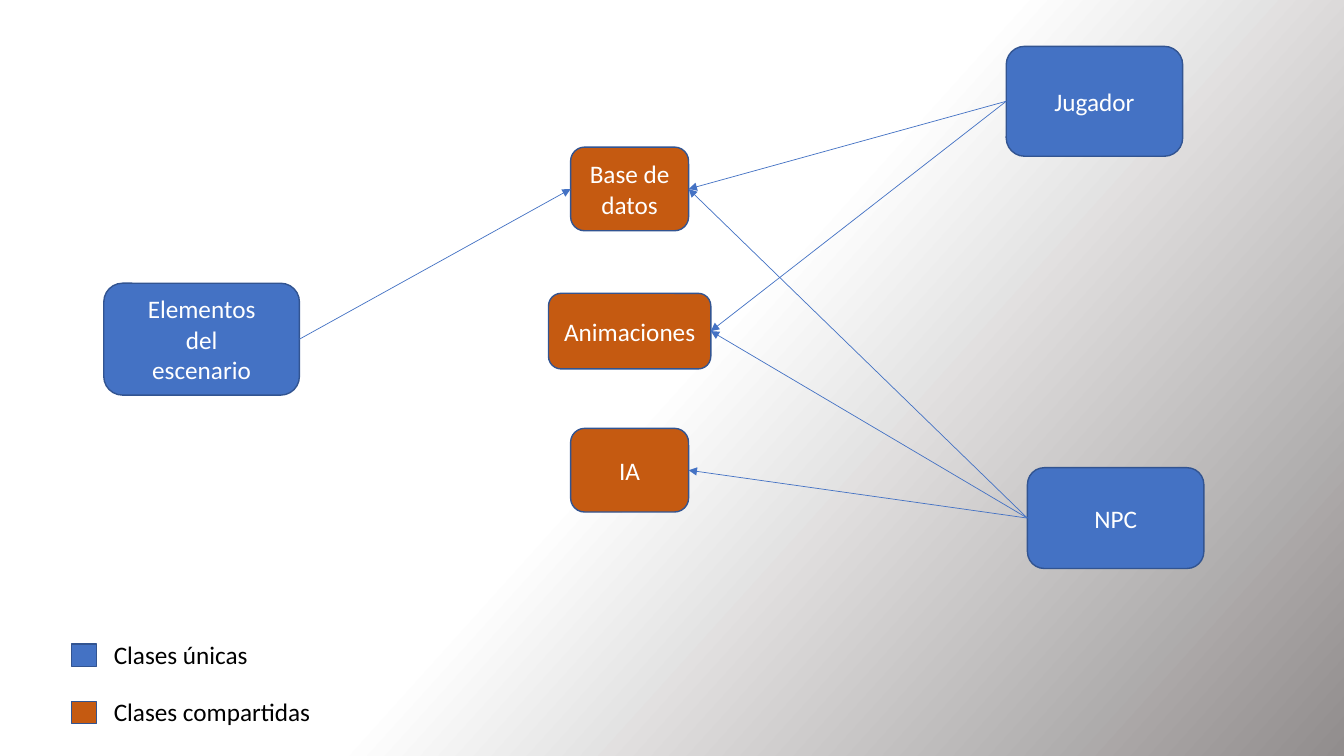
"""Build a slide that maps unique classes to the shared classes they use."""
import copy

import pptx
import pptx.dml.color
import pptx.enum.shapes
import pptx.enum.text
import pptx.oxml
import pptx.oxml.ns
import pptx.util

Inches = pptx.util.Inches
Shapes = pptx.enum.shapes.MSO_SHAPE
COLORS = {
    "unique": "4472C4",
    "shared": "C55A11",
    "outline": "325491",
    "white": "FFFFFF",
    "black": "000000",
    "gray": "918D8D",
}
CLASSES = {
    "Base de datos": ("shared", 5.66, 1.46, 1.17, 0.83),
    "Animaciones": ("shared", 5.44, 2.91, 1.61, 0.75),
    "IA": ("shared", 5.66, 4.25, 1.17, 0.83),
    "Jugador": ("unique", 9.98, 0.46, 1.75, 1.09),
    "NPC": ("unique", 10.19, 4.64, 1.75, 1),
    "Elementos\ndel\nescenario": ("unique", 1.03, 2.81, 1.94, 1.11),
}
LEFT_SITE, RIGHT_SITE = 1, 3
USES = [
    ("Jugador", "Base de datos"),
    ("Jugador", "Animaciones"),
    ("NPC", "Animaciones"),
    ("NPC", "IA"),
    ("NPC", "Base de datos"),
    ("Elementos\ndel\nescenario", "Base de datos"),
]


def rgb(name):
    """Return the named colour."""
    return pptx.dml.color.RGBColor.from_string(COLORS[name])


def write_text(shape, text, color, alignment):
    """Write formatted paragraphs into a shape."""
    frame = shape.text_frame
    frame.word_wrap = True
    frame.vertical_anchor = pptx.enum.text.MSO_ANCHOR.MIDDLE
    frame.text = text
    for paragraph in frame.paragraphs:
        paragraph.alignment = alignment
        paragraph.font.name = "Calibri"
        paragraph.font.size = pptx.util.Pt(18)
        paragraph.font.color.rgb = rgb(color)


def add_block(slide, preset, color, left, top, width, height):
    """Add a filled, outlined preset shape."""
    shape = slide.shapes.add_shape(
        preset, Inches(left), Inches(top), Inches(width), Inches(height))
    shape.shadow.inherit = False
    shape.fill.solid()
    shape.fill.fore_color.rgb = rgb(color)
    shape.line.color.rgb = rgb("outline")
    shape.line.width = pptx.util.Pt(1)
    return shape


def add_arrow(slide, source, target):
    """Connect the facing sides of two class boxes with an arrow."""
    rightward = source.left < target.left
    arrow = slide.shapes.add_connector(
        pptx.enum.shapes.MSO_CONNECTOR.STRAIGHT, 0, 0, 0, 0)
    arrow.begin_connect(source, RIGHT_SITE if rightward else LEFT_SITE)
    arrow.end_connect(target, LEFT_SITE if rightward else RIGHT_SITE)
    arrow.line.color.rgb = rgb("unique")
    arrow.line.width = pptx.util.Pt(0.5)
    properties = arrow.element.spPr
    line = properties.find(pptx.oxml.ns.qn("a:ln"))
    for parent, tag in ((line, "a:tailEnd"), (properties, "a:effectLst")):
        parent.append(parent.makeelement(pptx.oxml.ns.qn(tag), {}))
    line[-1].set("type", "triangle")


def add_diagram(slide, left, top):
    """Place the class boxes and the arrows between them."""
    boxes = {}
    for name, (kind, x, y, width, height) in CLASSES.items():
        boxes[name] = add_block(slide, Shapes.ROUNDED_RECTANGLE, kind,
                                left + x, top + y, width, height)
        write_text(boxes[name], name, "white", pptx.enum.text.PP_ALIGN.CENTER)
    for source, target in USES:
        add_arrow(slide, boxes[source], boxes[target])


def add_legend(slide, left, top, width, row_pitch):
    """Place one swatch and label per kind of class."""
    rows = (("unique", "Clases únicas"), ("shared", "Clases compartidas"))
    for index, (kind, label) in enumerate(rows):
        row_top = top + index * row_pitch
        add_block(slide, Shapes.RECTANGLE, kind, left, row_top + 0.1, 0.25, 0.22)
        text_box = slide.shapes.add_textbox(
            Inches(left + 0.32), Inches(row_top), Inches(width - 0.32), Inches(0.4))
        write_text(text_box, label, "black", pptx.enum.text.PP_ALIGN.LEFT)


def paint_background(slide):
    """Fill the background with a diagonal white to gray gradient."""
    fill = slide.background.fill
    fill.gradient()
    fill.gradient_angle = 360 - 42
    stop_list = slide.element.find(".//" + pptx.oxml.ns.qn("a:gsLst"))
    stop_list.insert(1, copy.deepcopy(stop_list[0]))
    stops = ((0, "white"), (0.5, "white"), (1, "gray"))
    for stop, (position, color) in zip(fill.gradient_stops, stops):
        stop.position = position
        stop.color.rgb = rgb(color)


def main():
    """Build and save the presentation."""
    presentation = pptx.Presentation()
    presentation.slide_width = Inches(13.33)
    presentation.slide_height = Inches(7.5)
    slide = presentation.slides.add_slide(presentation.slide_layouts[6])
    paint_background(slide)
    add_diagram(slide, 0, 0)
    add_legend(slide, 0.71, 6.29, 2.93, 0.57)
    presentation.save("out.pptx")


main()
